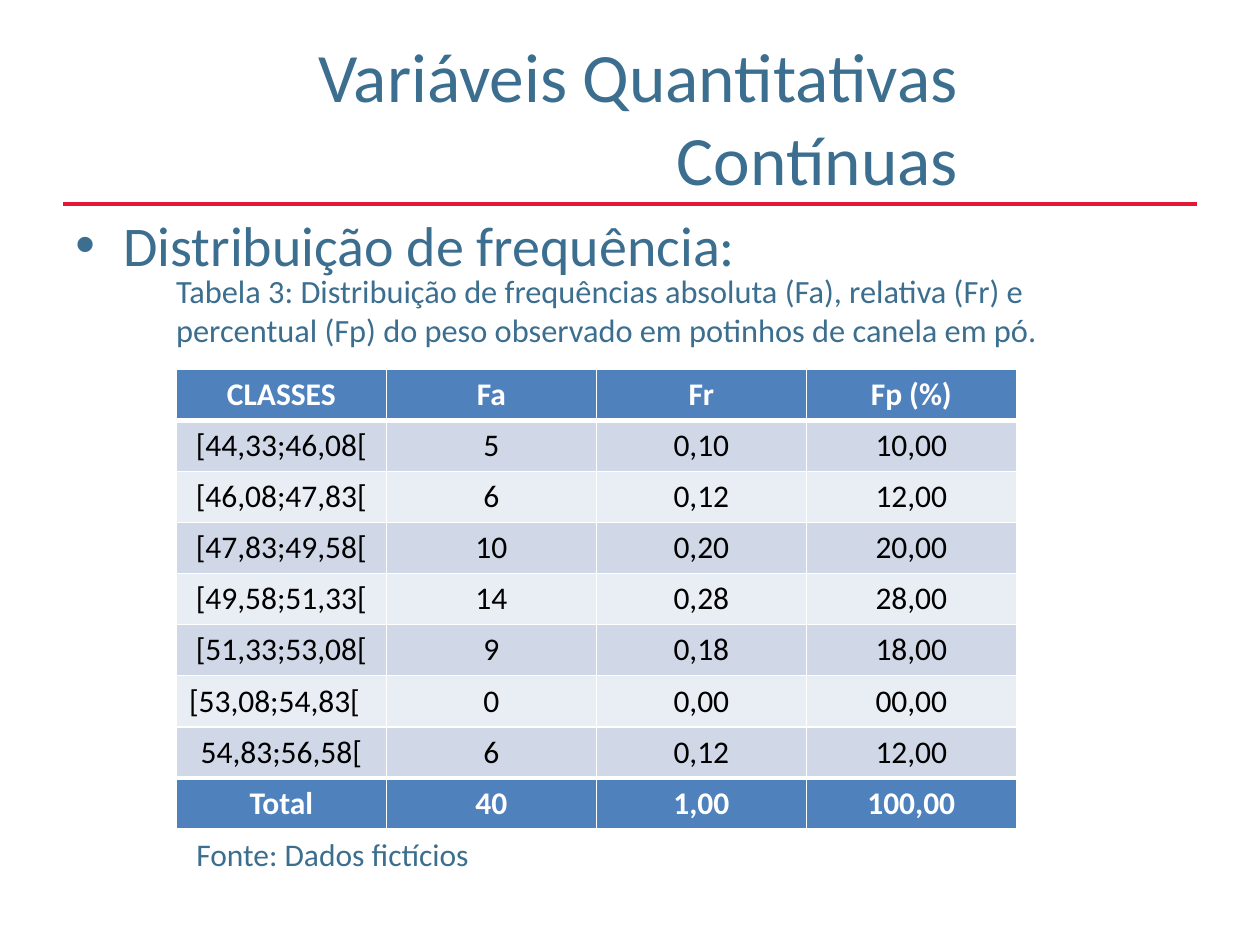
from lxml import etree
from pptx import Presentation
from pptx.dml.color import RGBColor
from pptx.enum.text import MSO_ANCHOR, PP_ALIGN
from pptx.enum.shapes import MSO_CONNECTOR
from pptx.oxml.ns import qn
from pptx.util import Inches, Pt

LEFT, CENTER, RIGHT = PP_ALIGN.LEFT, PP_ALIGN.CENTER, PP_ALIGN.RIGHT
TOP, MIDDLE = MSO_ANCHOR.TOP, MSO_ANCHOR.MIDDLE
STRAIGHT = MSO_CONNECTOR.STRAIGHT
FONT = "Calibri"
WIDTH, HEIGHT = 10, 7.5
COLORS = {
    "text": "3B6E8F", "rule": "E31837", "head": "4F81BD", "odd": "D0D8E8",
    "even": "E9EDF4", "white": "FFFFFF", "black": "000000",
}
ROWS = [
    ("CLASSES", "Fa", "Fr", "Fp (%)"),
    ("[44,33;46,08[", "5", "0,10", "10,00"),
    ("[46,08;47,83[", "6", "0,12", "12,00"),
    ("[47,83;49,58[", "10", "0,20", "20,00"),
    ("[49,58;51,33[", "14", "0,28", "28,00"),
    ("[51,33;53,08[", "9", "0,18", "18,00"),
    ("[53,08;54,83[", "0", "0,00", "00,00"),
    ("54,83;56,58[", "6", "0,12", "12,00"),
    ("Total", "40", "1,00", "100,00"),
]
LEFT_ALIGNED = "[53,08;54,83["


def rgb(name):
    """Return the named colour."""
    return RGBColor.from_string(COLORS[name])


def style(p, size, color, align, bold=False):
    """Format a paragraph and its runs."""
    p.alignment = align
    for r in p.runs:
        r.font.name, r.font.size, r.font.bold = FONT, Pt(size), bold
        r.font.color.rgb = rgb(color)


def add_text(s, box, text, size, align=LEFT, anchor=TOP):
    """Add a wrapped text box and return its paragraph."""
    tf = s.shapes.add_textbox(*map(Inches, box)).text_frame
    tf.word_wrap = True
    tf.vertical_anchor = anchor
    tf.text = text
    p = tf.paragraphs[0]
    style(p, size, "text", align)
    return p


def add_heading(s, box):
    """Add the title with the rule beneath it."""
    x, y, w, h = box
    add_text(s, (x, y, w * 0.8, h), "Variáveis Quantitativas Contínuas", 39.6, RIGHT, MIDDLE)
    rule_y = Inches(y + h + 0.07)
    rule = s.shapes.add_connector(STRAIGHT, Inches(x), rule_y, Inches(x + w), rule_y)
    rule.line.color.rgb = rgb("rule")
    rule.line.width = Pt(2)
    etree.SubElement(rule._element.spPr, qn("a:effectLst"))


def add_bullet(s, box):
    """Add the bulleted topic line."""
    p = add_text(s, box, "Distribuição de frequência:", 32)
    props = p._p.get_or_add_pPr()
    props.set("marL", str(Inches(0.38)))
    props.set("indent", str(Inches(-0.38)))
    etree.SubElement(props, qn("a:buFont"), typeface="Arial")
    etree.SubElement(props, qn("a:buChar"), char="•")


def set_borders(cell, widths):
    """Draw white borders with the widths given for each side."""
    props = cell._tc.get_or_add_tcPr()
    for position, (side, width) in enumerate(widths.items()):
        ln = etree.Element(qn(f"a:ln{side}"), w=str(Pt(width)))
        fill = etree.SubElement(ln, qn("a:solidFill"))
        etree.SubElement(fill, qn("a:srgbClr"), val=COLORS["white"])
        props.insert(position, ln)


def add_frequency_table(s, box):
    """Add the frequency table with heavy rules inside its head and total."""
    last = len(ROWS) - 1
    table = s.shapes.add_table(len(ROWS), len(ROWS[0]), *map(Inches, box)).table
    for i, values in enumerate(ROWS):
        strong = i in (0, last)
        fill = "head" if strong else "odd" if i % 2 else "even"
        widths = {"L": 1, "R": 1, "T": 3 if i in (1, last) else 1,
                  "B": 3 if i in (0, last - 1) else 1}
        for j, value in enumerate(values):
            cell = table.cell(i, j)
            cell.text = value
            cell.fill.solid()
            cell.fill.fore_color.rgb = rgb(fill)
            set_borders(cell, widths)
            style(cell.text_frame.paragraphs[0], 18, "white" if strong else "black",
                  LEFT if value == LEFT_ALIGNED else CENTER, strong)


def main():
    """Build and save the slide."""
    prs = Presentation()
    prs.slide_width, prs.slide_height = Inches(WIDTH), Inches(HEIGHT)
    s = prs.slides.add_slide(prs.slide_layouts[6])
    margin = WIDTH * 0.05
    content = WIDTH - 2 * margin
    add_heading(s, (margin, HEIGHT * 0.04, content, 1.25))
    add_bullet(s, (margin, 1.62, content, 0.66))
    add_frequency_table(s, (1.4, 2.93, WIDTH * 2 / 3, 3.65))
    add_text(s, (1.3, 2.1, 7.35, 0.9),
             "Tabela 3: Distribuição de frequências absoluta (Fa), relativa (Fr) e "
             "percentual (Fp) do peso observado em potinhos de canela em pó.", 18.5)
    add_text(s, (1.46, 6.58, 6.61, 0.43), "Fonte: Dados fictícios", 18)
    prs.save("out.pptx")


if __name__ == "__main__":
    main()
